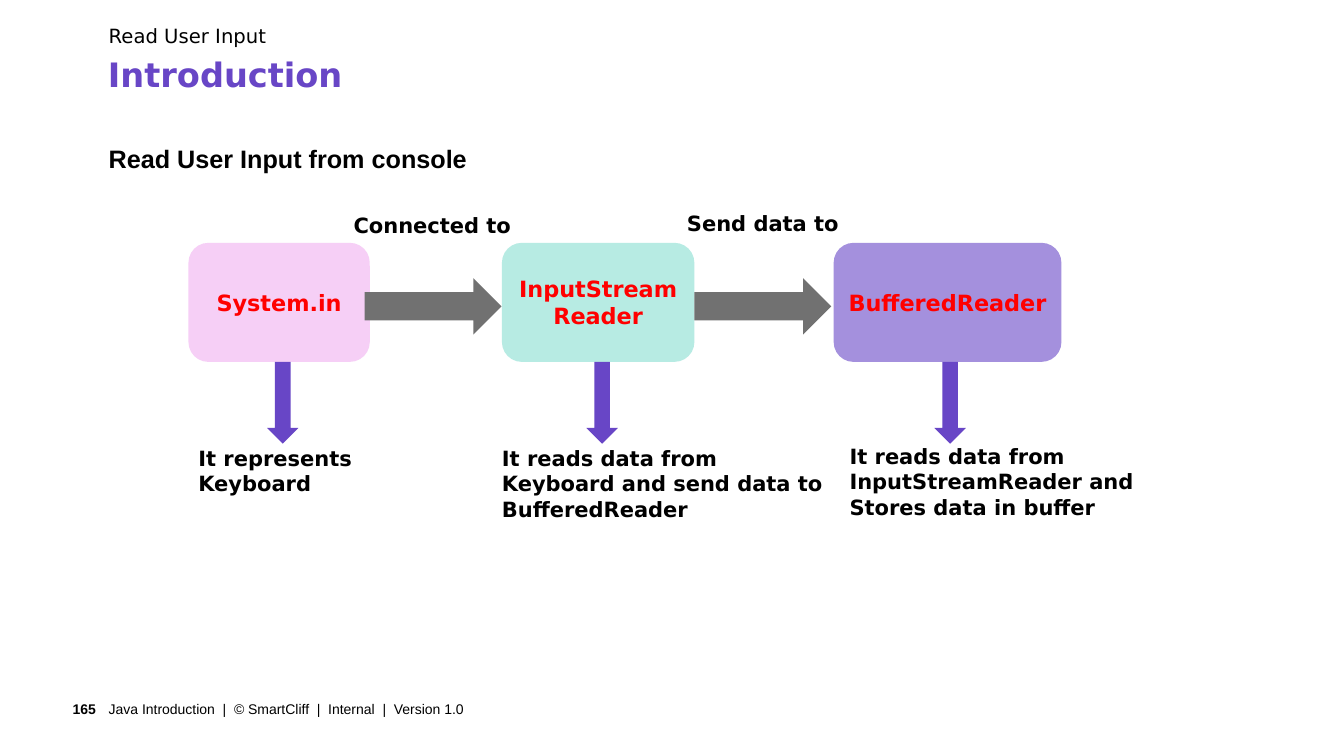
from pptx import Presentation, util as u
from pptx.dml.color import RGBColor
from pptx.enum import shapes, text

COLORS = {"black": "000000", "red": "FF0000", "violet": "6846C6", "gray": "717171",
          "pink": "F6CFF6", "mint": "B7EBE3", "lilac": "A490DD"}
SANS, ARIAL = "DejaVu Sans", "Arial"
LEFT, CENTER, RIGHT = text.PP_ALIGN.LEFT, text.PP_ALIGN.CENTER, text.PP_ALIGN.RIGHT
TOP, MIDDLE = text.MSO_ANCHOR.TOP, text.MSO_ANCHOR.MIDDLE
KIND = shapes.MSO_SHAPE

deck = Presentation()
deck.slide_width, deck.slide_height = u.Cm(33.87), u.Cm(19.05)
slide = deck.slides.add_slide(deck.slide_layouts[5])


def write(shape, lines, size, color="black", font=SANS, bold=True, align=LEFT,
          anchor=TOP, inset=0, wrap=True):
    """Fill a shape with one paragraph per line."""
    frame = shape.text_frame
    frame.auto_size = text.MSO_AUTO_SIZE.NONE
    frame.word_wrap, frame.vertical_anchor = wrap, anchor
    frame.margin_left = frame.margin_right = u.Cm(inset)
    frame.margin_top = frame.margin_bottom = u.Cm(inset)
    for i, line in enumerate(lines):
        para = frame.add_paragraph() if i else frame.paragraphs[0]
        para.alignment = align
        run = para.add_run()
        run.text = line
        run.font.name, run.font.size, run.font.bold = font, u.Pt(size), bold
        run.font.color.rgb = RGBColor.from_string(COLORS[color])
    return frame


def draw(kind, color, *place):
    shape = slide.shapes.add_shape(kind, *map(u.Cm, place))
    shape.shadow.inherit = False
    shape.fill.solid()
    shape.fill.fore_color.rgb = RGBColor.from_string(COLORS[color])
    shape.line.fill.background()
    return shape


# Headings
title = slide.shapes.title
title.left, title.top, title.width, title.height = map(u.Cm, (2.72, 1.35, 30.33, 1.04))
write(title, ["Introduction"], 24, "violet")

topic = slide.shapes.add_textbox(*map(u.Cm, (2.74, 0.61, 30.33, 1.04)))
write(topic, ["Read User Input"], 14, bold=False)

head = slide.shapes.add_textbox(*map(u.Cm, (2.74, 3.23, 30.33, 1.5)))
write(head, ["Read User Input from console"], 18, font=ARIAL).paragraphs[0].line_spacing = 1.5

# Footer
page = slide.shapes.add_textbox(*map(u.Cm, (1.07, 17.48, 1.65, 0.79)))
frame = write(page, ["165"], 10, font=ARIAL, align=RIGHT, anchor=MIDDLE)
frame.margin_right = u.Cm(0.3)

foot = slide.shapes.add_textbox(*map(u.Cm, (2.74, 17.48, 23.77, 0.79)))
write(foot, ["Java Introduction  |  © SmartCliff  |  Internal  |  Version 1.0"], 10,
      font=ARIAL, bold=False, anchor=MIDDLE)

# Stages: name, color, box left and width, arrow left, note place, note
stages = [
    (["System.in"], "pink", 4.75, 4.57, 6.73, (5, 11.23, 3.96, 1.27),
     ["It represents", "Keyboard"]),
    (["InputStream", "Reader"], "mint", 12.65, 4.85, 14.78, (12.65, 11.23, 8.23, 1.93),
     ["It reads data from", "Keyboard and send data to", "BufferedReader"]),
    (["BufferedReader"], "lilac", 21.01, 5.74, 23.55, (21.41, 11.18, 7.44, 1.93),
     ["It reads data from", "InputStreamReader and", "Stores data in buffer"]),
]
for name, color, left, width, down, place, note in stages:
    box = draw(KIND.ROUNDED_RECTANGLE, color, left, 6.12, width, 3)
    write(box, name, 16, "red", align=CENTER, anchor=MIDDLE, inset=0.2)
    draw(KIND.DOWN_ARROW, "violet", down, 9.12, 0.79, 2.06)
    write(slide.shapes.add_textbox(*map(u.Cm, place)), note, 15, wrap=False)

# Links between stages: label, arrow left, label left and top
links = [("Connected to", 9.19, 8.43, 5.36), ("Send data to", 17.5, 16.76, 5.31)]
for label, arrow, left, top in links:
    draw(KIND.RIGHT_ARROW, "gray", arrow, 7.01, 3.45, 1.42)
    tag = slide.shapes.add_textbox(*map(u.Cm, (left, top, 4.93, 0.64)))
    write(tag, [label], 15, align=CENTER)

deck.save("out.pptx")
